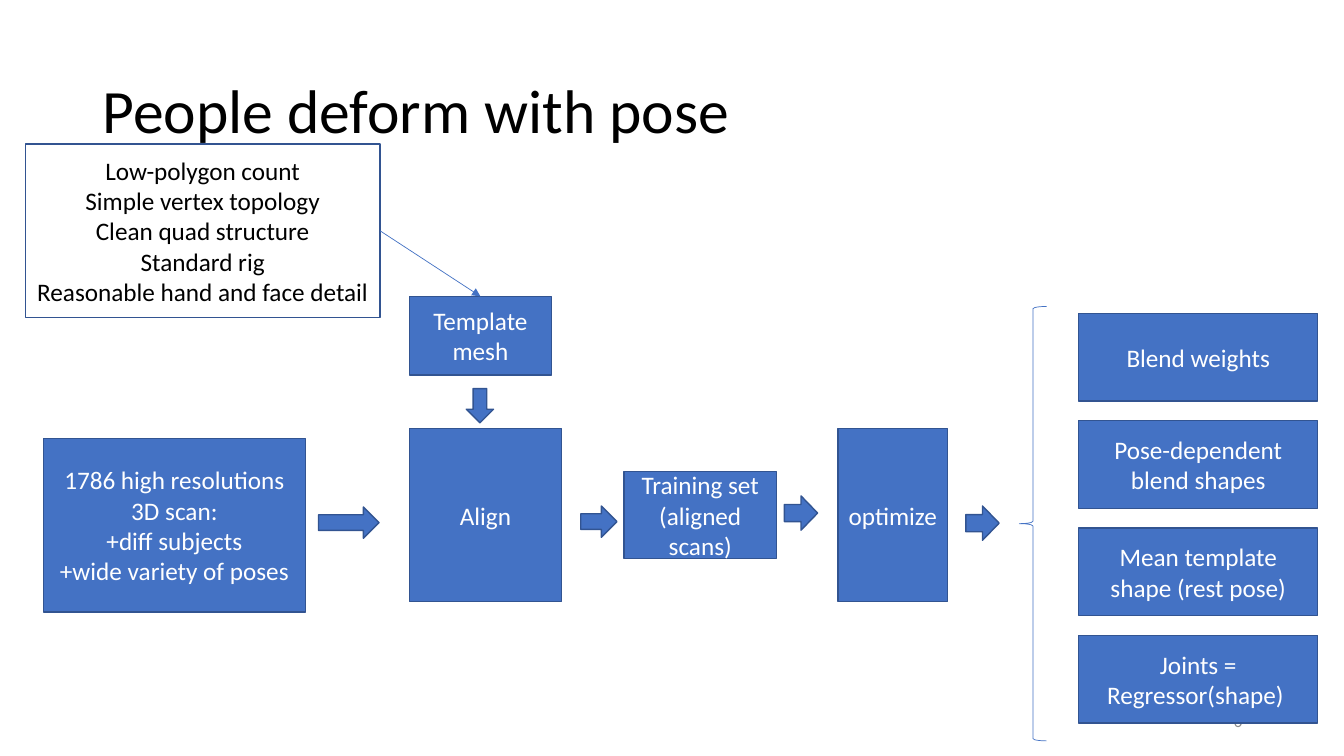
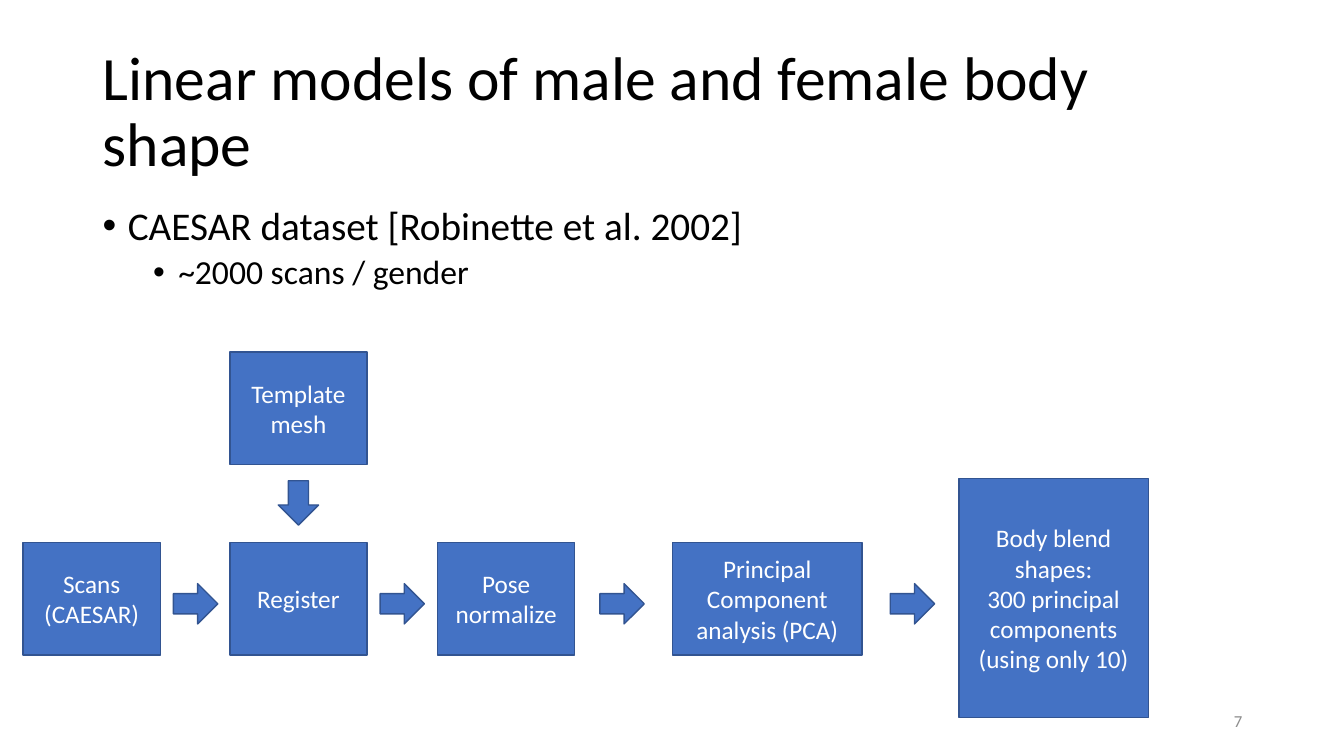
import pptx
import pptx.util
import pptx.dml.color
import pptx.enum.shapes
import pptx.enum.text
import pptx.oxml
import pptx.oxml.ns
from lxml import etree

Inches = pptx.util.Inches
Pt = pptx.util.Pt
Shape = pptx.enum.shapes.MSO_SHAPE
Align = pptx.enum.text.PP_ALIGN
Anchor = pptx.enum.text.MSO_ANCHOR
qn = pptx.oxml.ns.qn

FONT = "Calibri"
COLORS = {
    "background": "FFFFFF",
    "text": "000000",
    "on_fill": "FFFFFF",
    "muted": "8C8C8C",
    "accent": "4472C4",
    "outline": "325491",
}


def color(name):
    return pptx.dml.color.RGBColor.from_string(COLORS[name])


class Deck:
    """Shared style, and the slide being built."""

    def __init__(self):
        self.prs = pptx.Presentation()
        self.prs.slide_width = Inches(13.33)
        self.prs.slide_height = Inches(7.5)
        self.slide = None

    def start_slide(self, title, number):
        self.slide = self.prs.slides.add_slide(self.prs.slide_layouts[6])
        background = self.slide.background.fill
        background.solid()
        background.fore_color.rgb = color("background")
        heading = self.text_frame(0.92, 0.4, 11.5, 1.45, Anchor.MIDDLE)
        self.paragraph(heading, 0, title, 44).line_spacing = 0.9
        footer = self.text_frame(9.42, 6.95, 3, 0.4, Anchor.MIDDLE)
        self.paragraph(footer, 0, str(number), 12, "muted", Align.RIGHT)

    def text_frame(self, left, top, width, height, anchor):
        frame = self.slide.shapes.add_textbox(
            Inches(left), Inches(top), Inches(width), Inches(height)).text_frame
        frame.word_wrap = True
        frame.vertical_anchor = anchor
        return frame

    def paragraph(self, frame, index, text, size, ink="text", align=Align.LEFT):
        para = frame.add_paragraph() if index else frame.paragraphs[0]
        para.alignment = align
        run = para.add_run()
        run.text = text
        run.font.name = FONT
        run.font.size = Pt(size)
        run.font.color.rgb = color(ink)
        return para

    def bullets(self, left, top, width, height, items):
        """items: (level, text) pairs."""
        frame = self.text_frame(left, top, width, height, Anchor.TOP)
        for index, (level, text) in enumerate(items):
            para = self.paragraph(frame, index, text, 28 - 4 * level)
            para.level = level
            para.line_spacing = 0.9
            para.space_before = Pt(5 if level else 10)
            props = para._p.get_or_add_pPr()
            props.set("marL", str(Inches(0.25 + 0.5 * level)))
            props.set("indent", str(Inches(-0.25)))
            etree.SubElement(props, qn("a:buFont")).set("typeface", "Arial")
            etree.SubElement(props, qn("a:buChar")).set("char", "•")

    def shape(self, kind, left, top, width, height,
              fill="accent", outline="outline", weight=1):
        item = self.slide.shapes.add_shape(
            kind, Inches(left), Inches(top), Inches(width), Inches(height))
        item.shadow.inherit = False
        if fill:
            item.fill.solid()
            item.fill.fore_color.rgb = color(fill)
        else:
            item.fill.background()
        item.line.color.rgb = color(outline)
        item.line.width = Pt(weight)
        return item

    def box(self, left, top, width, height, *lines, fill="accent"):
        item = self.shape(Shape.RECTANGLE, left, top, width, height, fill)
        frame = item.text_frame
        frame.word_wrap = True
        frame.vertical_anchor = Anchor.MIDDLE
        ink = "on_fill" if fill else "text"
        for index, line in enumerate(lines):
            self.paragraph(frame, index, line, 18, ink, Align.CENTER)
        return item

    def arrow(self, left, top, width=0.44, height=0.4, rotation=0):
        self.shape(Shape.RIGHT_ARROW, left, top, width, height).rotation = rotation

    def brace(self, left, top, width, height):
        self.shape(Shape.LEFT_BRACE, left, top, width, height, None, "accent", 0.5)

    def link(self, source, source_site, target, target_site):
        line = self.slide.shapes.add_connector(
            pptx.enum.shapes.MSO_CONNECTOR.STRAIGHT, 0, 0, 0, 0)
        line.begin_connect(source, source_site)
        line.end_connect(target, target_site)
        line.line.color.rgb = color("accent")
        line.line.width = Pt(0.5)
        etree.SubElement(line.line._get_or_add_ln(), qn("a:tailEnd")).set("type", "triangle")
        etree.SubElement(line._element.spPr, qn("a:effectLst"))


def pose_slide(deck):
    deck.start_slide("People deform with pose", 6)

    # Pipeline steps
    deck.box(0.43, 4.35, 2.6, 1.72, "1786 high resolutions 3D scan:",
             "+diff subjects", "+wide variety of poses")
    deck.box(4.06, 4.25, 1.51, 1.72, "Align")
    template = deck.box(4.06, 2.94, 1.41, 0.78, "Template mesh")
    deck.box(6.19, 4.68, 1.51, 0.86, "Training set", "(aligned scans)")
    deck.box(8.31, 4.25, 1.09, 1.72, "optimize")

    # Flow arrows
    deck.arrow(3.16, 5.03, 0.6, 0.31)
    deck.arrow(4.59, 3.89, 0.34, 0.27, rotation=90)
    deck.arrow(5.76, 5.02, 0.36, 0.31)
    deck.arrow(7.78, 4.92, 0.33, 0.34)
    deck.arrow(9.58, 5.02, 0.33, 0.34)

    # Learned outputs, gathered by a brace
    outputs = ("Blend weights", "Pose-dependent blend shapes",
               "Mean template shape (rest pose)", "Joints = Regressor(shape) ")
    for row, output in enumerate(outputs):
        deck.box(10.7, 3.11 + 1.064 * row, 2.37, 0.87, output)
    deck.brace(10.11, 3.04, 0.27, 4.31)

    # Template requirements
    requirements = deck.box(
        0.25, 1.43, 3.52, 1.72, "Low-polygon count", "Simple vertex topology",
        "Clean quad structure", "Standard rig",
        "Reasonable hand and face detail", fill=None)
    deck.link(requirements, 3, template, 0)


def shape_slide(deck):
    deck.start_slide("Linear models of male and female body shape", 7)
    deck.bullets(0.92, 2, 11.5, 4.76, [
        (0, "CAESAR dataset [Robinette et al. 2002]"),
        (1, "~2000 scans / gender"),
    ])

    # Pipeline steps
    step_top, step_height = 5.38, 1.12
    steps = [
        (0.23, 1.36, ("Scans", "(CAESAR)")),
        (2.28, 1.36, ("Register",)),
        (4.34, 1.36, ("Pose normalize",)),
        (6.67, 1.88, ("Principal Component analysis (PCA)",)),
    ]
    for left, width, lines in steps:
        deck.box(left, step_top, width, step_height, *lines)
    deck.box(2.28, 3.49, 1.36, step_height, "Template mesh")
    deck.box(9.51, 4.75, 1.88, 2.37, "Body blend shapes:",
             "300 principal components", "(using only 10)")

    # Flow arrows
    for left in (1.72, 3.77, 5.95, 8.83):
        deck.arrow(left, 5.79)
    deck.arrow(2.74, 4.79, rotation=90)


def main():
    deck = Deck()
    pose_slide(deck)
    shape_slide(deck)
    deck.prs.save("out.pptx")


if __name__ == "__main__":
    main()
